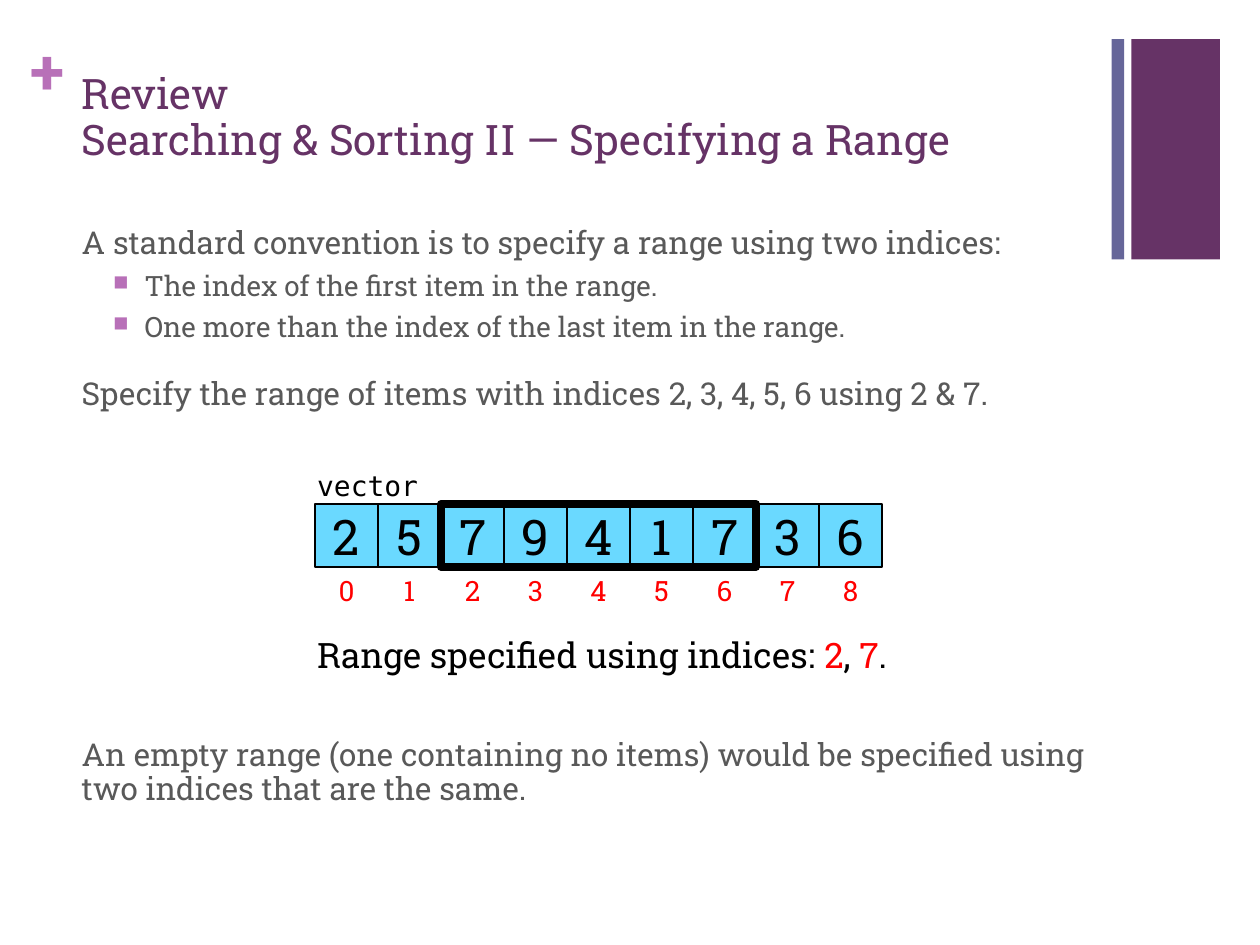
from dataclasses import dataclass

from lxml import etree
from pptx import Presentation
from pptx.dml.color import RGBColor
from pptx.enum import shapes, text
from pptx.oxml.ns import qn
from pptx.util import Pt


@dataclass(frozen=True)
class Theme:
    font: str = "Roboto Slab"
    mono: str = "DejaVu Sans Mono"
    plum: str = "663366"
    slate: str = "666699"
    orchid: str = "B870B8"
    gray: str = "595959"
    cell: str = "6AD9FF"
    black: str = "000000"
    red: str = "FF0000"
    plus_size: int = 36
    value_size: int = 28
    title_size: int = 24
    result_size: int = 20
    body_size: int = 18
    small_size: int = 16
    line_spacing: float = 0.91


class SlideBuilder:
    def __init__(self, slide, theme):
        self.slide = slide
        self.theme = theme

    def style(self, paragraph, size, color, font=None, bold=False):
        for run in paragraph.runs:
            run.font.name = font or self.theme.font
            run.font.size = Pt(size)
            run.font.bold = bold
            run.font.color.rgb = RGBColor.from_string(color)

    def rect(self, left, top, width, height, fill=None, line=None):
        box = self.slide.shapes.add_shape(
            shapes.MSO_SHAPE.RECTANGLE, Pt(left), Pt(top), Pt(width), Pt(height))
        box.shadow.inherit = False
        if fill:
            box.fill.solid()
            box.fill.fore_color.rgb = RGBColor.from_string(fill)
        else:
            box.fill.background()
        if line:
            box.line.color.rgb = RGBColor.from_string(self.theme.black)
            box.line.width = Pt(line)
        else:
            box.line.fill.background()
        return box

    def cell(self, left, top, side, value):
        frame = self.rect(left, top, side, side, self.theme.cell, 1).text_frame
        frame.text = value
        frame.vertical_anchor = text.MSO_ANCHOR.MIDDLE
        frame.paragraphs[0].alignment = text.PP_ALIGN.CENTER
        self.style(frame.paragraphs[0], self.theme.value_size, self.theme.black)

    def label(self, left, top, width, height, words, size, color,
              font=None, bold=False, wrap=False, align=text.PP_ALIGN.LEFT):
        frame = self.slide.shapes.add_textbox(
            Pt(left), Pt(top), Pt(width), Pt(height)).text_frame
        frame.word_wrap = wrap
        frame.text = words
        for paragraph in frame.paragraphs:
            paragraph.alignment = align
            self.style(paragraph, size, color, font, bold)
        return frame

    def bullet(self, paragraph):
        props = paragraph._p.get_or_add_pPr()
        props.set("marL", str(Pt(36)))
        props.set("indent", str(Pt(-18)))
        color = etree.SubElement(props, qn("a:buClr"))
        etree.SubElement(color, qn("a:srgbClr"), val=self.theme.orchid)
        etree.SubElement(props, qn("a:buSzPct"), val="75000")
        etree.SubElement(props, qn("a:buChar"), char="■")


def main():
    theme = Theme()
    deck = Presentation()
    deck.slide_width, deck.slide_height = Pt(720), Pt(540)
    builder = SlideBuilder(deck.slides.add_slide(deck.slide_layouts[6]), theme)

    # Corner decoration
    builder.rect(646.5, 22.3, 50.6, 126, theme.plum)
    builder.rect(635.2, 22.3, 7.2, 126, theme.slate)
    plus = builder.label(17.4, 18, 21, 44, "+", theme.plus_size, theme.orchid, bold=True)
    plus.margin_left = plus.margin_right = plus.margin_top = plus.margin_bottom = 0

    # Title
    title = builder.label(
        39.6, 38.2, 594.7, 75.6,
        "Review\vSearching & Sorting II — Specifying a Range",
        theme.title_size, theme.plum, wrap=True)
    title.paragraphs[0].line_spacing = theme.line_spacing

    # Body: words, space before, bulleted; the last gap leaves room for the vector
    points = [
        ("A standard convention is to specify a range using two indices:", 0, False),
        ("The index of the first item in the range.", 6, True),
        ("One more than the index of the last item in the range.", 6, True),
        ("Specify the range of items with indices 2, 3, 4, 5, 6 using 2 & 7.", 20, False),
        ("An empty range (one containing no items) would be specified using "
         "two indices that are the same.", 186.4, False),
    ]
    body = builder.label(39.6, 126, 594.7, 372, "\n".join(p[0] for p in points),
                         theme.body_size, theme.gray, wrap=True)
    for paragraph, (_, gap, bulleted) in zip(body.paragraphs, points):
        paragraph.line_spacing = theme.line_spacing
        paragraph.space_before = Pt(gap)
        if bulleted:
            builder.style(paragraph, theme.small_size, theme.gray)
            builder.bullet(paragraph)

    # Vector cells with their indices
    row_left, row_top, side = 180, 288, 36
    for index, value in enumerate("259417736"[:0] + "257941736"[:0] or "257941736"):
        left = row_left + index * side
        builder.cell(left, row_top, side, value)
        builder.label(left, row_top + side, side, 26.6, str(index),
                      theme.small_size, theme.red, align=text.PP_ALIGN.CENTER)

    # Frame around the specified range
    first, end = 2, 7
    builder.rect(row_left + first * side, row_top, (end - first) * side, side, line=4.5)

    # Captions
    result = builder.label(174.2, 358.6, 342, 31.7, "", theme.result_size, theme.black)
    sentence = result.paragraphs[0]
    pieces = ["Range specified using indices: ", str(first), ", ", str(end), "."]
    for piece in pieces:
        sentence.add_run().text = piece
    builder.style(sentence, theme.result_size, theme.black)
    for run in sentence.runs[1::2]:
        run.font.color.rgb = RGBColor.from_string(theme.red)
    builder.label(174.2, 264.2, 180, 26.6, "vector", theme.small_size, theme.black, theme.mono)

    deck.save("out.pptx")


if __name__ == "__main__":
    main()
